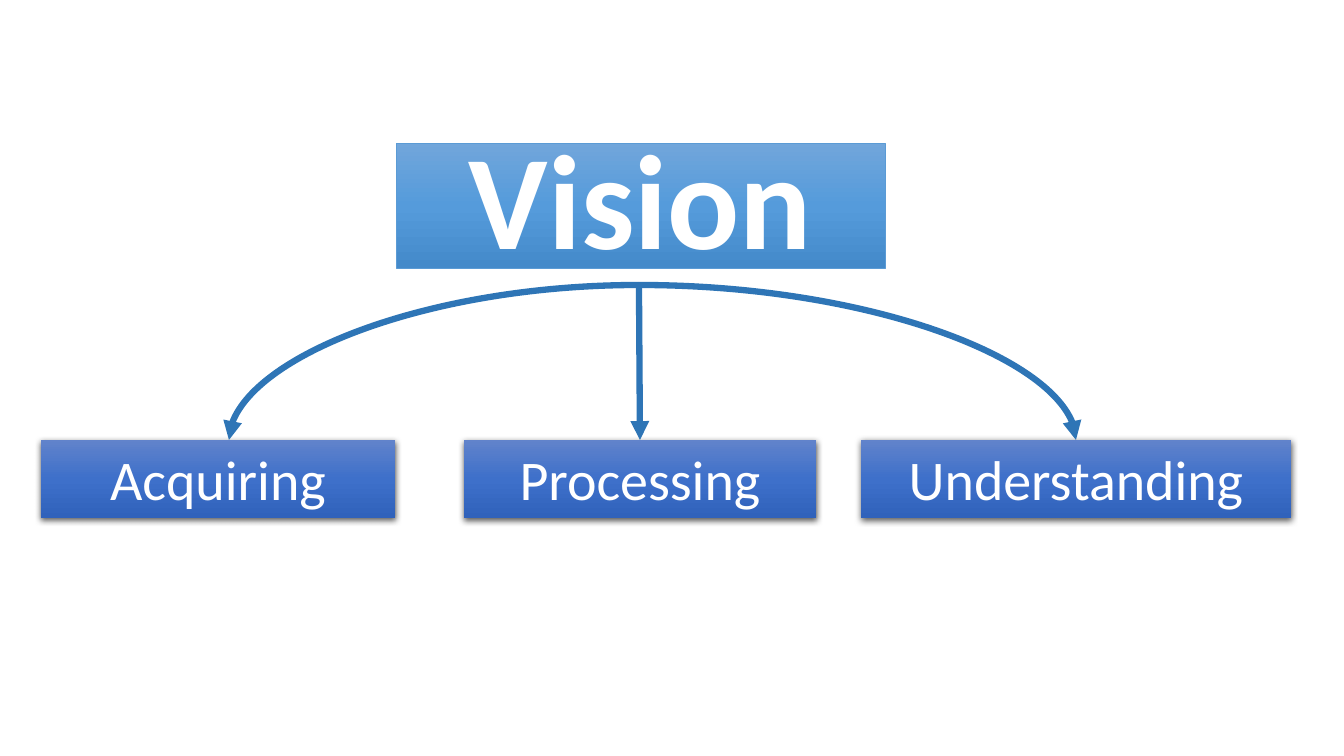
from copy import deepcopy
from dataclasses import dataclass

from pptx import Presentation
from pptx.dml.color import RGBColor
from pptx.enum.shapes import MSO_CONNECTOR as Connector, MSO_SHAPE as Shape
from pptx.enum.text import MSO_ANCHOR as Anchor, MSO_AUTO_SIZE as AutoSize, PP_ALIGN as Align
from pptx.oxml.ns import qn
from pptx.util import Pt
from lxml.etree import SubElement

EMU_PER_PX = 914400 / 100.8
FONT = "Calibri"
WHITE = RGBColor(0xFF, 0xFF, 0xFF)
TITLE_LINE = RGBColor(0x5B, 0x9B, 0xD5)
ARROW_BLUE = RGBColor(0x2E, 0x75, 0xB6)
TITLE_GRADIENT = (RGBColor(0x71, 0xA6, 0xDB), RGBColor(0x55, 0x9B, 0xDB), RGBColor(0x44, 0x8A, 0xCA))
STAGE_GRADIENT = (RGBColor(0x61, 0x83, 0xCB), RGBColor(0x3E, 0x70, 0xCA), RGBColor(0x30, 0x62, 0xBB))

STAGE_TOP, STAGE_HEIGHT = 440, 78
ARROW_TOP, ARROW_LEFT = 285, 639


@dataclass(frozen=True)
class Stage:
    name: str
    left: int
    width: int
    arrow_end: int
    curved: bool


STAGES = (
    Stage("Acquiring", 41, 354, 229, True),
    Stage("Processing", 464, 352, 640, False),
    Stage("Understanding", 861, 430, 1076, True),
)


def px(length: int) -> int:
    return round(length * EMU_PER_PX)


def fill_gradient(shape, colors: tuple) -> None:
    """Fill from top to bottom with evenly spaced colours."""
    shape.fill.gradient()
    shape.fill.gradient_angle = 270
    stop_list = shape._element.spPr.find(".//" + qn("a:gsLst"))
    stop_list.append(deepcopy(stop_list[-1]))
    for index, (stop, color) in enumerate(zip(shape.fill.gradient_stops, colors)):
        stop.position = index / (len(colors) - 1)
        stop.color.rgb = color


def write_text(shape, text: str, size: int, bold: bool = False):
    paragraph = shape.text_frame.paragraphs[0]
    paragraph.alignment = Align.CENTER
    run = paragraph.add_run()
    run.text = text
    run.font.name = FONT
    run.font.size = Pt(size)
    run.font.bold = bold
    run.font.color.rgb = WHITE
    return paragraph


def add_shadow(shape) -> None:
    shape.shadow.inherit = False
    effects = shape._element.spPr.find(qn("a:effectLst"))
    shadow = SubElement(effects, qn("a:outerShdw"), blurRad=str(Pt(4.5)), dist=str(Pt(1.5)),
                        dir="5400000", algn="ctr", rotWithShape="0")
    color = SubElement(shadow, qn("a:srgbClr"), val="000000")
    SubElement(color, qn("a:alpha"), val="63000")


def draw_title(slide) -> None:
    title = slide.shapes.title
    title.left, title.top, title.width, title.height = map(px, (396, 143, 489, 125))
    fill_gradient(title, TITLE_GRADIENT)
    title.line.color.rgb = TITLE_LINE
    title.line.width = Pt(0.5)
    title.text_frame.auto_size = AutoSize.NONE
    title.text_frame.vertical_anchor = Anchor.MIDDLE
    write_text(title, "Vision", 96, bold=True).line_spacing = 0.9


def draw_stage(slide, stage: Stage):
    box = slide.shapes.add_shape(Shape.RECTANGLE, px(stage.left), px(STAGE_TOP),
                                 px(stage.width), px(STAGE_HEIGHT))
    fill_gradient(box, STAGE_GRADIENT)
    box.line.fill.background()
    add_shadow(box)
    box.text_frame.word_wrap = True
    box.text_frame.vertical_anchor = Anchor.TOP
    box.text_frame.auto_size = AutoSize.SHAPE_TO_FIT_TEXT
    write_text(box, stage.name, 40)
    return box


def draw_arrow(slide, stage: Stage, box) -> None:
    kind = Connector.CURVE if stage.curved else Connector.STRAIGHT
    arrow = slide.shapes.add_connector(kind, px(ARROW_LEFT), px(ARROW_TOP),
                                       px(stage.arrow_end), px(STAGE_TOP))
    properties = arrow._element.spPr
    if stage.curved:
        # A single quarter bend: leaves sideways, arrives downwards
        properties.find(qn("a:prstGeom")).set("prst", "curvedConnector2")
    else:
        arrow.end_connect(box, 0)
    arrow.line.color.rgb = ARROW_BLUE
    arrow.line.width = Pt(4.5)
    SubElement(properties.find(qn("a:ln")), qn("a:tailEnd"), type="triangle")
    SubElement(properties, qn("a:effectLst"))


def main() -> None:
    presentation = Presentation()
    presentation.slide_width, presentation.slide_height = px(1344), px(756)
    slide = presentation.slides.add_slide(presentation.slide_layouts.get_by_name("Title Only"))

    # Heading
    draw_title(slide)

    # Stages, then the arrows that lead to them
    boxes = [draw_stage(slide, stage) for stage in STAGES]
    for stage, box in zip(STAGES, boxes):
        draw_arrow(slide, stage, box)

    presentation.save("out.pptx")


if __name__ == "__main__":
    main()
